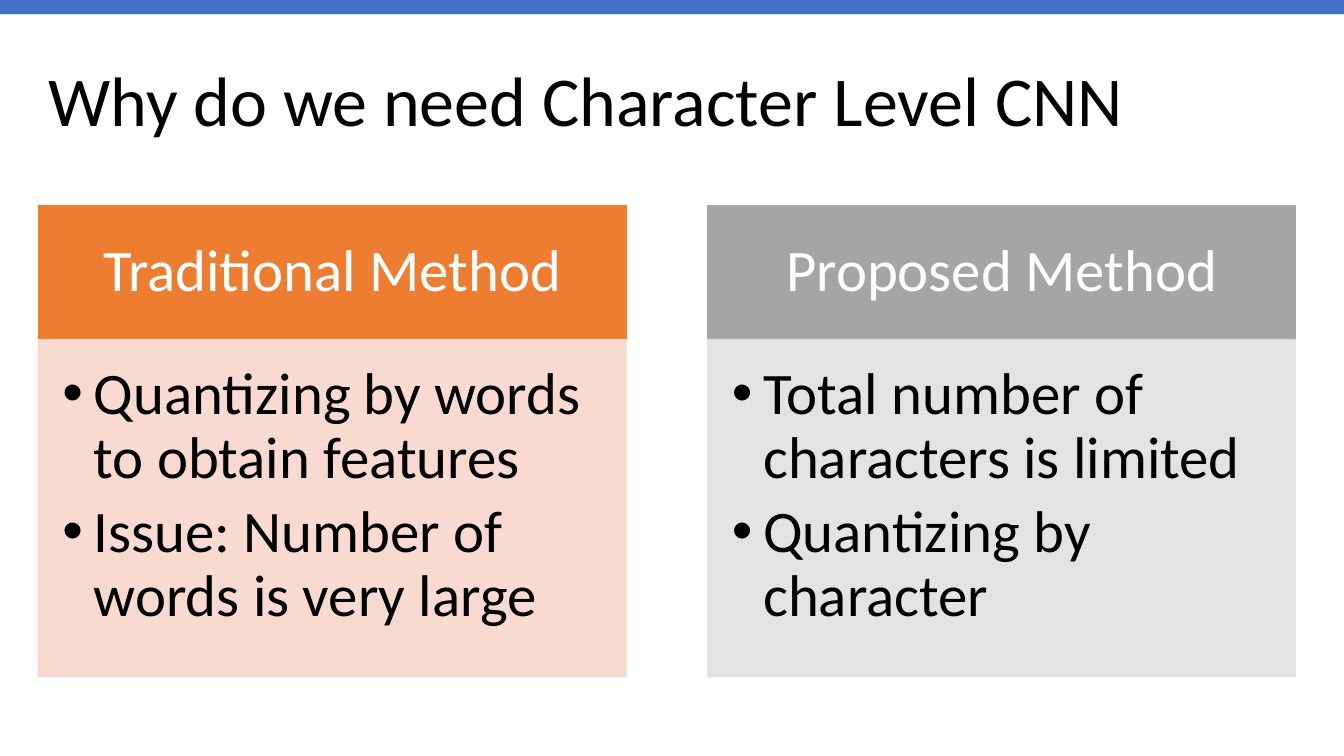
from lxml.etree import SubElement
from pptx import Presentation
from pptx.dml.color import RGBColor
from pptx.enum.shapes import MSO_SHAPE
from pptx.enum.text import MSO_ANCHOR, PP_ALIGN
from pptx.oxml.ns import qn
from pptx.util import Inches, Pt

WIDE, HIGH = 13.33, 7.5
EDGE, GAP = 0.38, 0.81
TOP, HEAD, BODY = 2.04, 1.33, 3.34
HUES = {
    "bar": "4472C4", "ink": "000000", "white": "FFFFFF",
    "orange": "ED7D31", "peach": "F8D7CD",
    "gray": "A5A5A5", "pale": "E1E1E1",
}
CARDS = [
    ("Traditional Method", "orange", "peach",
     ["Quantizing by words to obtain features",
      "Issue: Number of words is very large"]),
    ("Proposed Method", "gray", "pale",
     ["Total number of characters is limited",
      "Quantizing by character"]),
]


def color(name):
    return RGBColor.from_string(HUES[name])


def bullet(para):
    props = para._p.get_or_add_pPr()
    props.set("marL", str(Inches(0.31)))
    props.set("indent", str(-Inches(0.31)))
    tint = SubElement(props, qn("a:buClr"))
    SubElement(tint, qn("a:srgbClr"), val=HUES["ink"])
    SubElement(props, qn("a:buFont"), typeface="Arial")
    SubElement(props, qn("a:buChar"), char="•")


def write(shape, lines, size=42, hue="ink", align=PP_ALIGN.LEFT,
          anchor=MSO_ANCHOR.MIDDLE, pads=(0.1, 0.05, 0.1, 0.05),
          lead=0.9, after=0, dots=False):
    frame = shape.text_frame
    frame.word_wrap = True
    frame.vertical_anchor = anchor
    (frame.margin_left, frame.margin_top,
     frame.margin_right, frame.margin_bottom) = map(Inches, pads)
    for i, line in enumerate(lines):
        para = frame.add_paragraph() if i else frame.paragraphs[0]
        para.alignment = align
        para.line_spacing = lead
        para.space_before = Pt(0)
        para.space_after = Pt(after)
        run = para.add_run()
        run.text = line
        run.font.name = "Calibri"
        run.font.size = Pt(size)
        run.font.color.rgb = color(hue)
        if dots:
            bullet(para)


def block(slide, box, hue, edge=True, alpha=None):
    shape = slide.shapes.add_shape(MSO_SHAPE.RECTANGLE, *map(Inches, box))
    shape.shadow.inherit = False
    shape.fill.solid()
    shape.fill.fore_color.rgb = color(hue)
    if edge:
        shape.line.color.rgb = color(hue)
        shape.line.width = Pt(1)
    else:
        shape.line.fill.background()
    if alpha:
        for tint in shape._element.spPr.iter(qn("a:srgbClr")):
            SubElement(tint, qn("a:alpha"), val=str(alpha * 1000))
    return shape


def header(slide, box):
    title = slide.shapes.title
    title.left, title.top, title.width, title.height = map(Inches, box)
    write(title, ["Why do we need Character Level CNN"], size=50, lead=0.7)


def card(slide, box, name, dark, light, points):
    left, top, width, height = box
    head = block(slide, (left, top, width, HEAD), dark)
    write(head, [name], hue="white", align=PP_ALIGN.CENTER,
          pads=(0.33, 0.19, 0.33, 0.19), after=18)
    body = block(slide, (left, top + HEAD, width, height - HEAD), light,
                 alpha=90)
    write(body, points, anchor=MSO_ANCHOR.TOP,
          pads=(0.24, 0.24, 0.33, 0.37), after=8, dots=True)


def main():
    deck = Presentation()
    deck.slide_width, deck.slide_height = Inches(WIDE), Inches(HIGH)
    slide = deck.slides.add_slide(deck.slide_layouts[5])

    # Title and top bar
    header(slide, (EDGE, 0.35, 12.48, 1.45))
    block(slide, (0, 0, WIDE, 0.14), "bar", edge=False)

    # Two equal columns
    width = (12.47 - GAP) / 2
    for i, parts in enumerate(CARDS):
        left = EDGE + i * (width + GAP)
        card(slide, (left, TOP, width, HEAD + BODY), *parts)

    deck.save("out.pptx")


if __name__ == "__main__":
    main()
